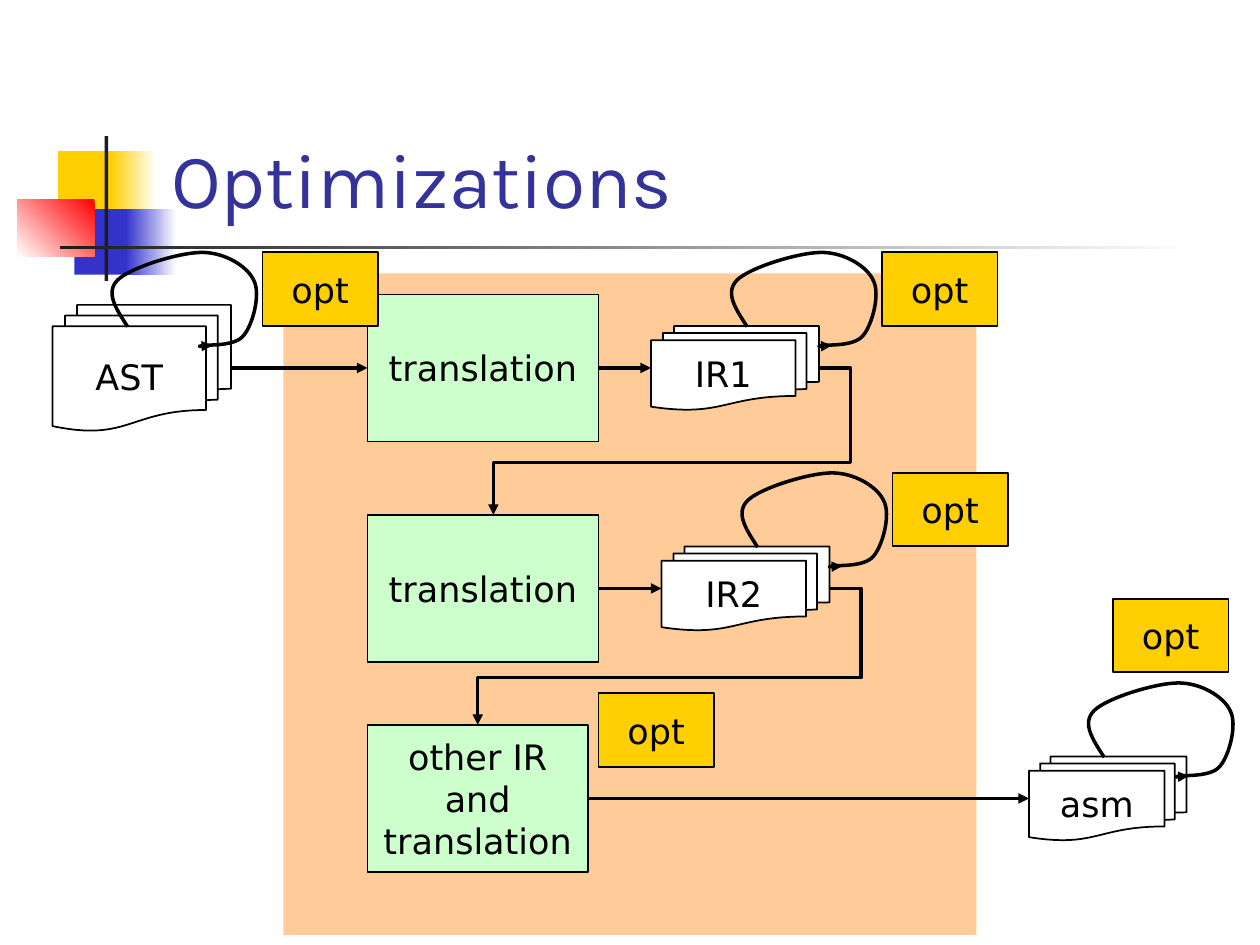
from dataclasses import dataclass

from lxml.etree import SubElement
from pptx import Presentation
from pptx.dml.color import RGBColor
from pptx.enum.shapes import MSO_CONNECTOR, MSO_SHAPE
from pptx.enum.text import MSO_ANCHOR, PP_ALIGN
from pptx.oxml.ns import qn
from pptx.util import Inches, Pt


@dataclass(frozen=True)
class Theme:
    white: str = "FFFFFF"
    black: str = "000000"
    dark: str = "1C1C1C"
    gold: str = "FFCF01"
    blue: str = "3333CC"
    red: str = "FF0000"
    navy: str = "333399"
    peach: str = "FFCC99"
    mint: str = "CCFFCC"
    head: str = "Karla"
    body: str = "DejaVu Sans"
    big: float = 44
    small: float = 20
    gap: float = 12.5
    thin: float = 1
    thick: float = 2


THEME = Theme()
TOP, LEFT, RIGHT = 0, 1, 3

# Start point, then three points for each Bezier curve, in inches
LOOP = [
    (0.18, 0.59),
    (0.09, 0.45), (0, 0.32), (0.1, 0.22),
    (0.2, 0.12), (0.59, 0), (0.77, 0),
    (0.95, 0), (1.13, 0.11), (1.18, 0.22),
    (1.24, 0.33), (1.17, 0.58), (1.1, 0.66),
    (1.03, 0.75), (0.81, 0.73), (0.77, 0.74),
    (0.73, 0.75), (0.79, 0.74), (0.85, 0.74),
]


def rgb(code):
    return RGBColor.from_string(code)


def style(par, font, size, color):
    par.font.name = font
    par.font.size = Pt(size)
    par.font.color.rgb = rgb(color)


def block(shapes, kind, box, fill):
    """Add a preset shape without line; a None fill leaves it clear."""
    shape = shapes.add_shape(kind, *box)
    shape.shadow.inherit = False
    shape.line.fill.background()
    if fill:
        shape.fill.solid()
        shape.fill.fore_color.rgb = rgb(fill)
    else:
        shape.fill.background()
    return shape


def node(shapes, kind, box, fill, text):
    """Add an outlined shape with a centred label."""
    shape = block(shapes, kind, box, fill)
    shape.line.color.rgb = rgb(THEME.black)
    shape.line.width = Pt(THEME.thin)
    frame = shape.text_frame
    frame.word_wrap = True
    frame.vertical_anchor = MSO_ANCHOR.MIDDLE
    par = frame.paragraphs[0]
    par.text = text
    par.alignment = PP_ALIGN.CENTER
    par.space_before = Pt(THEME.gap)
    style(par, THEME.body, THEME.small, THEME.black)
    return shape


def arm(line):
    """Make a line thick and black, with an arrowhead at its end."""
    line.width = Pt(THEME.thick)
    line.color.rgb = rgb(THEME.black)
    SubElement(line._get_or_add_ln(), qn("a:tailEnd"), type="triangle")


def link(shapes, kind, start, end):
    wire = shapes.add_connector(kind, *start, *end)
    arm(wire.line)
    SubElement(wire._element.spPr, qn("a:effectLst"))
    return wire


def arrow(shapes, start, end):
    wire = link(shapes, MSO_CONNECTOR.STRAIGHT, (0, 0), (0, 0))
    wire.begin_connect(start, RIGHT)
    wire.end_connect(end, LEFT)


def bend(shapes, start, end, out, turn):
    """Leave start's right side by out, cross at height turn, drop to end."""
    x, y = start.left + start.width, start.top + start.height // 2
    wire = link(shapes, MSO_CONNECTOR.ELBOW, (x, y), end)
    wire.begin_connect(start, RIGHT)
    geom = wire._element.spPr.find(qn("a:prstGeom"))
    geom.set("prst", "bentConnector4")
    guides = geom.find(qn("a:avLst"))
    if guides is None:
        guides = SubElement(geom, qn("a:avLst"))
    parts = (-out / (x - end[0]), (turn - y) / (end[1] - y))
    for index, part in enumerate(parts, 1):
        SubElement(guides, qn("a:gd"), name=f"adj{index}",
                   fmla=f"val {round(part * 100000)}")
    return wire


def loop(shapes, left, top):
    """Draw the curved arrow that leads from a document back to itself."""
    first, *rest = [(left + Inches(x), top + Inches(y)) for x, y in LOOP]
    pen = shapes.build_freeform(*first)
    pen.add_line_segments(rest, close=False)
    shape = pen.convert_to_shape()
    shape.shadow.inherit = False
    shape.fill.background()
    arm(shape.line)
    track = next(shape._element.iter(qn("a:path")))
    for index, step in enumerate(track.findall(qn("a:lnTo"))):
        if index % 3 == 0:
            curve = SubElement(track, qn("a:cubicBezTo"))
        curve.append(step[0])
        track.remove(step)


def badge(shapes, left, top):
    """Place the overlapping colour squares and rules beside the title."""
    t = THEME
    bars = [
        (0.32, 0.12, 0.48, 0.52, t.gold, None, 0),
        (0.74, 0.12, 0.36, 0.52, t.white, t.gold, 180),
        (0.45, 0.58, 0.46, 0.52, t.blue, None, 0),
        (0.86, 0.58, 0.4, 0.52, t.white, t.blue, 180),
        (0, 0.5, 0.61, 0.46, t.red, t.white, 225),
        (0.69, 0, 0.03, 1.15, t.dark, None, 0),
        (0.34, 0.87, 9, 0.03, t.white, t.dark, 180),
    ]
    for x, y, wide, high, color, other, angle in bars:
        box = (left + Inches(x), top + Inches(y), Inches(wide), Inches(high))
        shape = block(shapes, MSO_SHAPE.RECTANGLE, box, color)
        if other:
            shape.fill.gradient()
            shape.fill.gradient_angle = angle
            for stop, tone in zip(shape.fill.gradient_stops, (color, other)):
                stop.color.rgb = rgb(tone)


def title(shapes, box, text):
    frame = shapes.add_textbox(*box).text_frame
    frame.word_wrap = True
    frame.vertical_anchor = MSO_ANCHOR.BOTTOM
    par = frame.paragraphs[0]
    par.text = text
    style(par, THEME.head, THEME.big, THEME.navy)


def flow(shapes, left, top):
    """Place the compiler stages on a grid of twelfths of an inch."""
    unit = Inches(1) / 12

    def spot(x, y):
        return round(left + x * unit), round(top + y * unit)

    def area(x, y, wide, high):
        return (*spot(x, y), round(wide * unit), round(high * unit))

    def pages(text, box, fill=THEME.white):
        return node(shapes, MSO_SHAPE.FLOWCHART_MULTIDOCUMENT, area(*box), fill, text)

    def step(text, box, fill=THEME.mint):
        return node(shapes, MSO_SHAPE.FLOWCHART_PROCESS, area(*box), fill, text)

    block(shapes, MSO_SHAPE.RECTANGLE, area(0, 0, 66, 63), THEME.peach)
    tree = pages("AST", (-22, 3, 17, 12), None)
    first = step("translation", (8, 2, 22, 14))
    one = pages("IR1", (35, 5, 16, 8))
    second = step("translation", (8, 23, 22, 14))
    two = pages("IR2", (36, 26, 16, 8))
    third = step("other IR and translation", (8, 43, 21, 14))
    code = pages("asm", (71, 46, 15, 8))

    for start, end in ((tree, first), (first, one), (second, two), (third, code)):
        arrow(shapes, start, end)
    bend(shapes, one, spot(20, 23), 3 * unit, spot(0, 18)[1])
    wire = bend(shapes, two, spot(18.5, 43), 3 * unit, spot(0, 38.5)[1])
    wire.end_connect(third, TOP)

    for x, y in ((-17, -2), (42, -2), (43, 19), (76, 39)):
        loop(shapes, *spot(x, y))
    for x, y in ((-2, -2), (57, -2), (58, 19), (79, 31), (30, 40)):
        step("opt", (x, y, 11, 7), THEME.gold)


def main():
    deck = Presentation()
    deck.slide_width, deck.slide_height = Inches(10), Inches(7.5)
    shapes = deck.slides.add_slide(deck.slide_layouts[6]).shapes
    badge(shapes, Inches(0.14), Inches(1.08))
    box = (Inches(1.26), Inches(0.23), Inches(8.52), Inches(1.6))
    title(shapes, box, "Optimizations")
    flow(shapes, Inches(2.25), Inches(2.17))
    deck.save("out.pptx")


if __name__ == "__main__":
    main()
